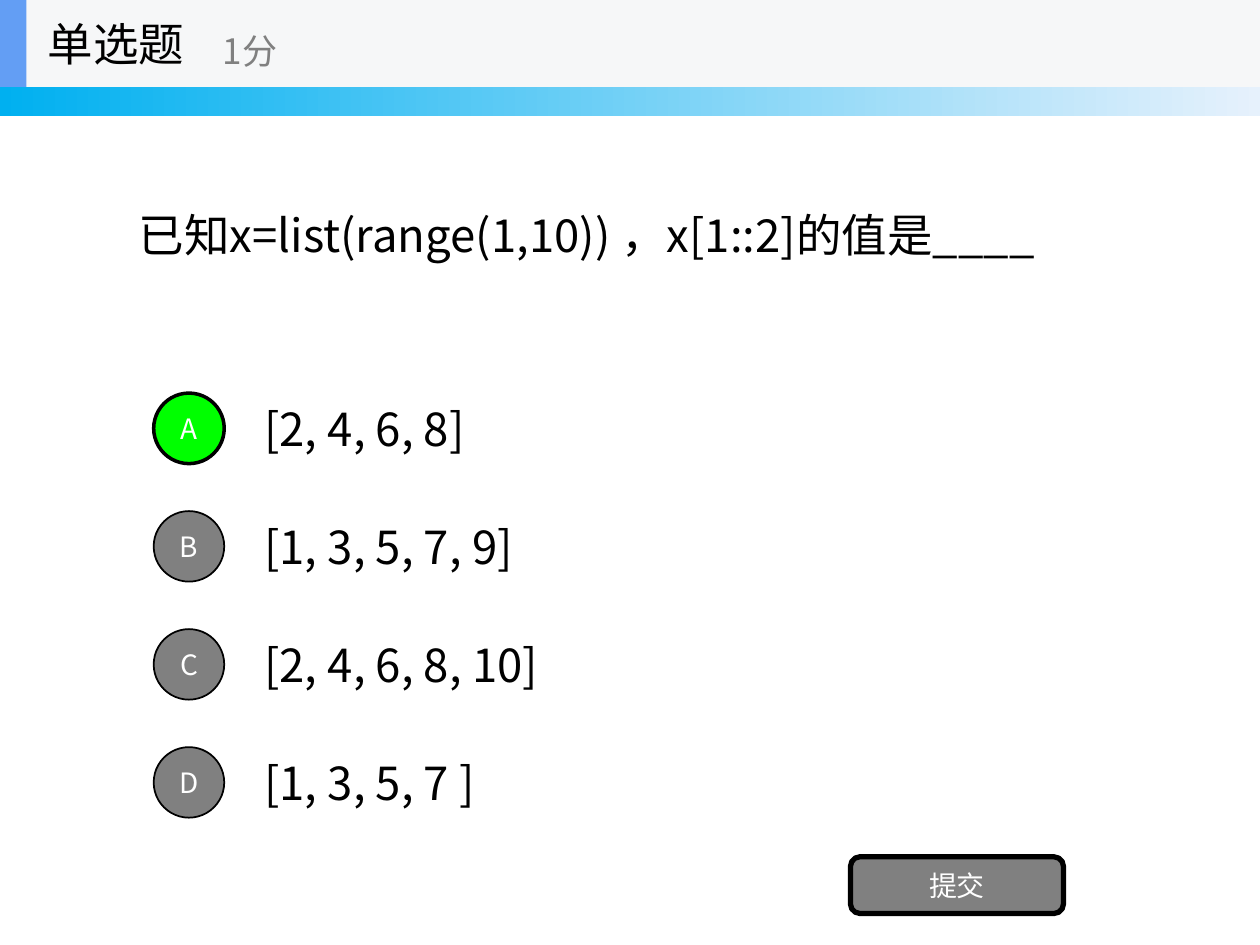
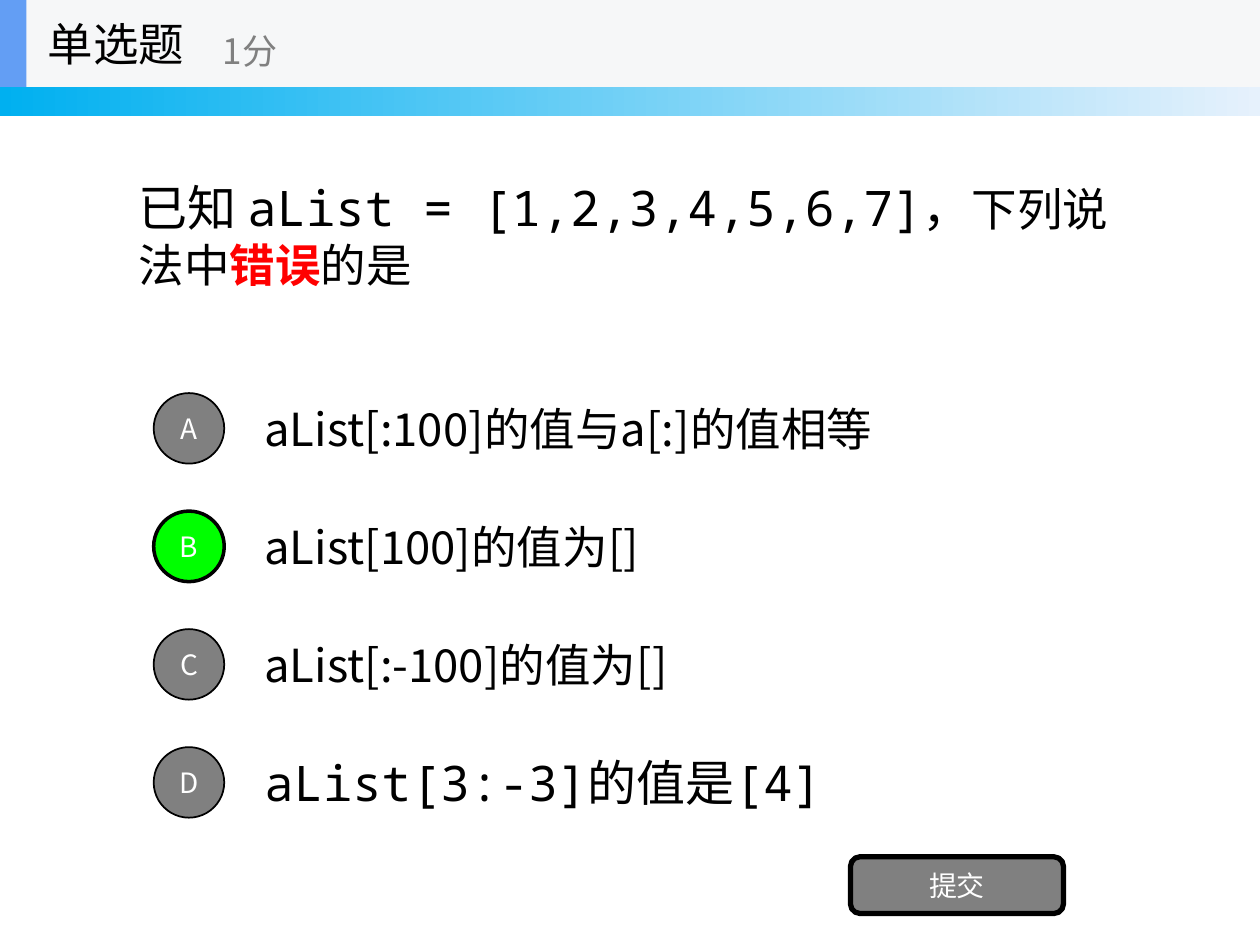
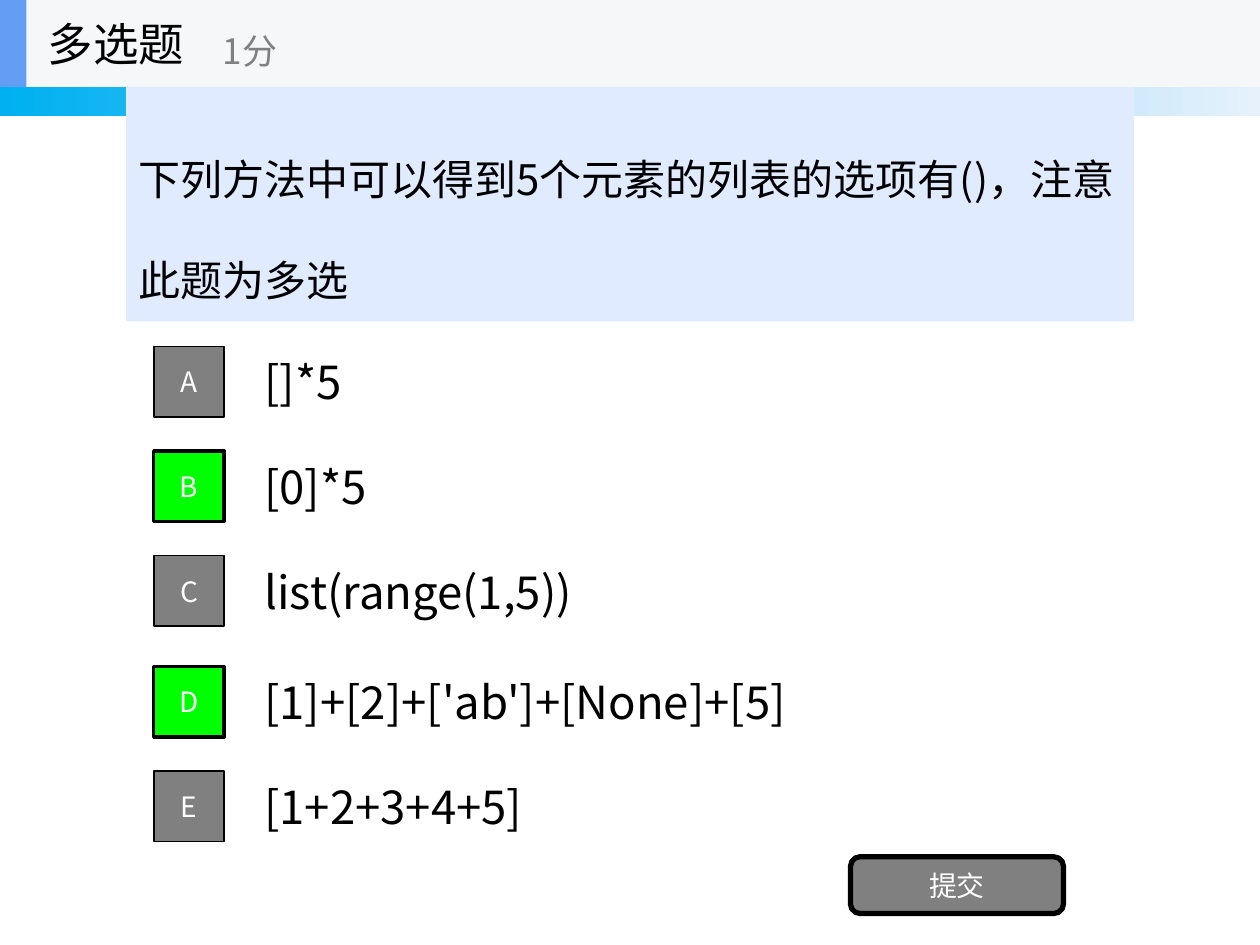
from dataclasses import dataclass

from pptx import Presentation
from pptx.dml.color import RGBColor
from pptx.enum.shapes import MSO_SHAPE
from pptx.enum.text import MSO_ANCHOR, MSO_AUTO_SIZE, PP_ALIGN
from pptx.oxml.ns import qn
from pptx.util import Inches, Pt
from lxml.etree import SubElement


@dataclass(frozen=True)
class Theme:
    sans: str = "Noto Sans CJK SC"
    mono: str = "Noto Sans Mono"
    ink: str = "000000"
    white: str = "FFFFFF"
    grey: str = "808080"
    correct: str = "00FF00"
    alert: str = "FF0000"
    header: str = "F6F7F8"
    accent: str = "639EF4"
    panel: str = "E0EBFF"
    band_start: str = "00B0F0"
    band_end: str = "E6F1FC"
    large: int = 28
    normal: int = 26
    question: int = 24
    score: int = 20
    label: int = 16


THEME = Theme()
WIDTH, HEIGHT = 10, 7.5
HEADER_HEIGHT = 0.69
BAND_HEIGHT = 0.92
MARGIN = WIDTH / 10
OPTION_LEFT, OPTION_HEIGHT = 2 * MARGIN, 0.7
MARKER_LEFT, MARKER_SIZE = 1.22, 0.56
SCORE = "1分"
SUBMIT = "提交"
MONO = {"name": THEME.mono, "size": THEME.large}

KINDS = {
    "单选题": {
        "marker": MSO_SHAPE.OVAL,
        "tops": [3.05 + 2.81 / 3 * row for row in range(4)],
        "question_height": 2.34,
        "panel": None,
        "line_spacing": 1,
    },
    "多选题": {
        "marker": MSO_SHAPE.RECTANGLE,
        "tops": [2.68, 3.51, 4.34, 5.22, 6.05],
        "question_height": 1.86,
        "panel": THEME.panel,
        "line_spacing": 2,
    },
}

QUIZZES = [
    {
        "kind": "单选题",
        "question": [("已知x=list(range(1,10)) ，x[1::2]的值是____", {})],
        "options": [
            ("[2, 4, 6, 8]", {}),
            ("[1, 3, 5, 7, 9]", {}),
            ("[2, 4, 6, 8, 10]", {}),
            ("[1, 3, 5, 7 ]", {}),
        ],
        "answers": "A",
    },
    {
        "kind": "单选题",
        "question": [
            ("已知 ", {"size": THEME.large}),
            ("aList = [1,2,3,4,5,6,7]，", MONO),
            ("下列说法中", {}),
            ("错误", {"color": THEME.alert, "bold": True}),
            ("的是", {}),
        ],
        "options": [
            ("aList[:100]的值与a[:]的值相等", {}),
            ("aList[100]的值为[]", {}),
            ("aList[:-100]的值为[]", {}),
            ("aList[3:-3]的值是[4]", MONO),
        ],
        "answers": "B",
    },
    {
        "kind": "多选题",
        "question": [
            ("下列方法中可以得到5个元素的列表的选项有()，注意此题为多选", {"size": THEME.question})
        ],
        "options": [
            ("[]*5", {}),
            ("[0]*5", {}),
            ("list(range(1,5))", {}),
            ("[1]+[2]+['ab']+[None]+[5]", {}),
            ("[1+2+3+4+5]", {}),
        ],
        "answers": "BD",
    },
]


def write(shape, runs, align=PP_ALIGN.LEFT, line_spacing=1):
    frame = shape.text_frame
    frame_format = {
        "word_wrap": True,
        "auto_size": MSO_AUTO_SIZE.NONE,
        "vertical_anchor": MSO_ANCHOR.MIDDLE,
    }
    for name, value in frame_format.items():
        setattr(frame, name, value)
    paragraph = frame.paragraphs[0]
    paragraph_format = {"alignment": align, "line_spacing": line_spacing, "space_before": Pt(0)}
    for name, value in paragraph_format.items():
        setattr(paragraph, name, value)
    for text, changes in runs:
        style = {"name": THEME.sans, "size": THEME.normal, "color": THEME.ink, "bold": False}
        style.update(changes)
        run = paragraph.add_run()
        run.text = text
        run.font.color.rgb = RGBColor.from_string(style.pop("color"))
        style["size"] = Pt(style["size"])
        for name, value in style.items():
            setattr(run.font, name, value)
        SubElement(run.font._element, qn("a:ea"), typeface=THEME.sans)


def place(shape, left, top, width, height):
    box = {"left": left, "top": top, "width": width, "height": height}
    for name, value in box.items():
        setattr(shape, name, Inches(value))


def add_box(slide, preset, box, fill, line_width=0):
    shape = slide.shapes.add_shape(preset, *map(Inches, box))
    shape.shadow.inherit = False
    shape.fill.solid()
    shape.fill.fore_color.rgb = RGBColor.from_string(fill)
    if line_width:
        shape.line.color.rgb = RGBColor.from_string(THEME.ink)
        shape.line.width = Pt(line_width)
    else:
        shape.line.fill.background()
    return shape


def add_label(slide, preset, box, text, fill, line_width):
    shape = add_box(slide, preset, box, fill, line_width)
    write(shape, [(text, {"size": THEME.label, "color": THEME.white})], PP_ALIGN.CENTER)


def add_text(slide, box, text, style):
    write(slide.shapes.add_textbox(*map(Inches, box)), [(text, style)])


def bring_to_front(shape):
    shape.element.getparent().append(shape.element)


def add_band(slide):
    band = add_box(slide, MSO_SHAPE.RECTANGLE, (0, 0, WIDTH, BAND_HEIGHT), THEME.band_start)
    band.fill.gradient()
    band.fill.gradient_angle = 0
    for stop, color in zip(band.fill.gradient_stops, (THEME.band_start, THEME.band_end)):
        stop.color.rgb = RGBColor.from_string(color)


def add_question(slide, quiz, kind):
    question = slide.placeholders[1]
    bring_to_front(question)
    place(question, MARGIN, HEADER_HEIGHT, WIDTH - 2 * MARGIN, kind["question_height"])
    if kind["panel"]:
        question.fill.solid()
        question.fill.fore_color.rgb = RGBColor.from_string(kind["panel"])
    properties = question.text_frame.paragraphs[0]._p.get_or_add_pPr()
    for name in ("marL", "indent"):
        properties.set(name, "0")
    SubElement(properties, qn("a:buNone"))
    write(question, quiz["question"], line_spacing=kind["line_spacing"])


def add_options(slide, quiz, kind):
    inset = (OPTION_HEIGHT - MARKER_SIZE) / 2
    for letter, top, (text, style) in zip("ABCDE", kind["tops"], quiz["options"]):
        add_text(slide, (OPTION_LEFT, top, WIDTH - 3 * MARGIN, OPTION_HEIGHT), text, style)
        fill, line_width = (THEME.correct, 2) if letter in quiz["answers"] else (THEME.grey, 1)
        marker_box = (MARKER_LEFT, top + inset, MARKER_SIZE, MARKER_SIZE)
        add_label(slide, kind["marker"], marker_box, letter, fill, line_width)


def add_header(slide, heading):
    add_box(slide, MSO_SHAPE.RECTANGLE, (0, 0, WIDTH, HEADER_HEIGHT), THEME.header)
    add_box(slide, MSO_SHAPE.RECTANGLE, (0, 0, 0.21, HEADER_HEIGHT), THEME.accent)
    title = slide.shapes.title
    bring_to_front(title)
    place(title, 0.28, 0, 2.08, HEADER_HEIGHT)
    write(title, [(heading, {})])
    add_text(slide, (1.67, 0.12, 2.5, 0.56), SCORE, {"size": THEME.score, "color": THEME.grey})


def build_slide(presentation, quiz):
    slide = presentation.slides.add_slide(presentation.slide_layouts[1])
    kind = KINDS[quiz["kind"]]
    add_band(slide)
    add_question(slide, quiz, kind)
    add_options(slide, quiz, kind)
    add_label(slide, MSO_SHAPE.ROUNDED_RECTANGLE, (6.75, 6.8, 1.69, 0.45), SUBMIT, THEME.grey, 3)
    add_header(slide, quiz["kind"])


def main():
    presentation = Presentation()
    presentation.slide_width = Inches(WIDTH)
    presentation.slide_height = Inches(HEIGHT)
    for quiz in QUIZZES:
        build_slide(presentation, quiz)
    presentation.save("out.pptx")


if __name__ == "__main__":
    main()
